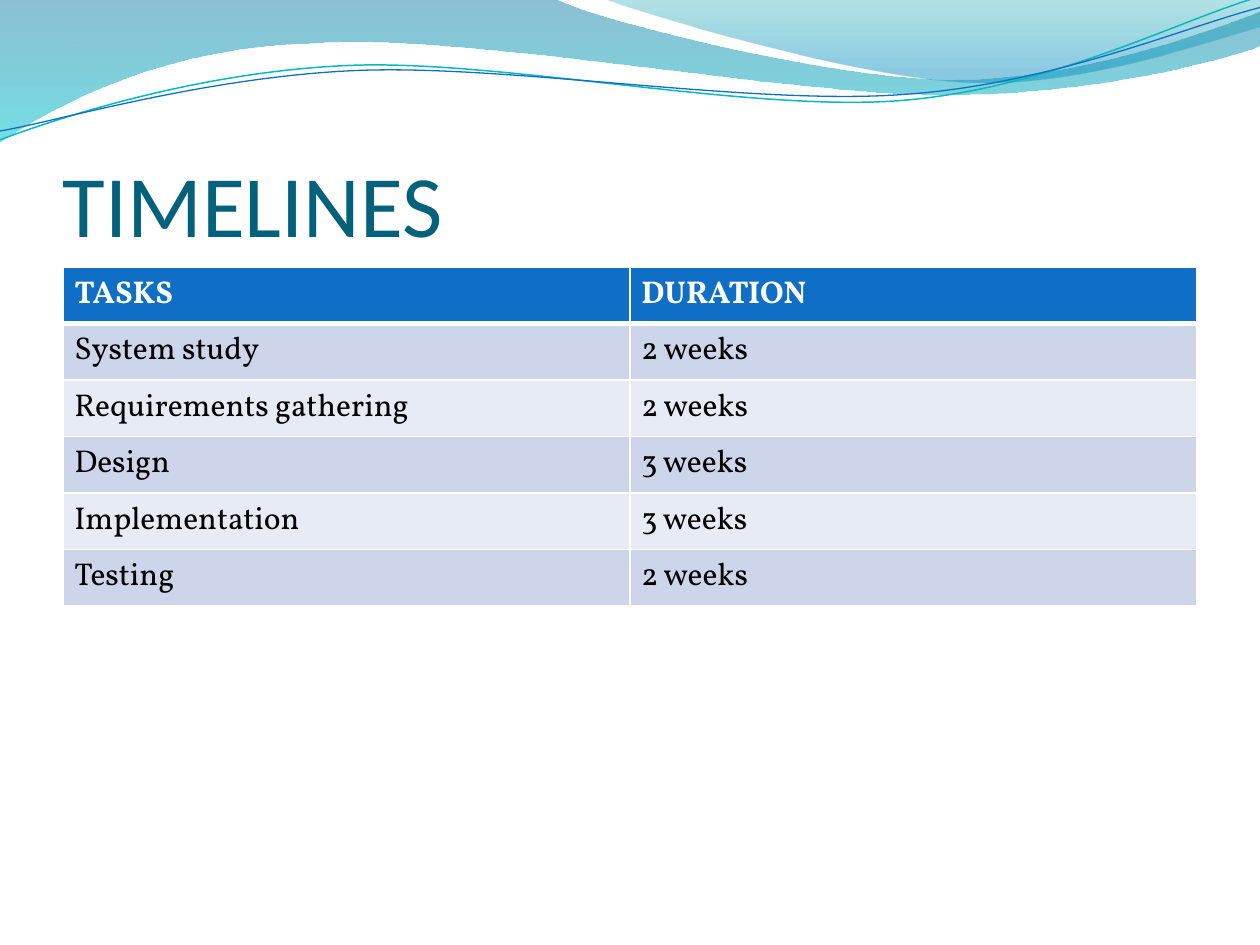
from lxml import etree
from pptx import Presentation
from pptx.dml.color import RGBColor
from pptx.enum import text
from pptx.oxml import ns
from pptx.util import Inches, Pt

WHITE = RGBColor(0xFF, 0xFF, 0xFF)
BLACK = RGBColor(0, 0, 0)
BLUE = RGBColor(0x0F, 0x6F, 0xC6)
TEAL = RGBColor(0x0A, 0xB8, 0xBF)
TITLE_BLUE = RGBColor(0x04, 0x61, 0x7B)
BANDS = [RGBColor(0xCC, 0xD5, 0xEA), RGBColor(0xE7, 0xEB, 0xF5)]
DEEP_BLUE = RGBColor(0x00, 0x74, 0xA1)
AQUA = RGBColor(0x00, 0xC6, 0xCF)
SEA_GREEN = RGBColor(0x00, 0xA1, 0xA9)
SKY_BLUE = RGBColor(0x00, 0x8B, 0xBF)

presentation = Presentation()
presentation.slide_width, presentation.slide_height = Inches(10), Inches(7.5)
slide = presentation.slides.add_slide(presentation.slide_layouts[6])


def add_wave(start, segments, closed):
    """Draw segments of one point (line) or three points (cubic curve)."""
    builder = slide.shapes.build_freeform(Inches(start[0]), Inches(start[1]))
    builder.add_line_segments([(Inches(x), Inches(y)) for segment in segments
                               for x, y in segment], close=closed)
    shape = builder.convert_to_shape()
    shape.shadow.inherit = False
    # Join each group of three line points into one curve
    lines = iter(list(shape.element.iter(ns.qn("a:lnTo"))))
    for segment in segments:
        group = [next(lines) for _ in segment]
        if len(group) == 3:
            curve = etree.Element(ns.qn("a:cubicBezTo"))
            group[0].addprevious(curve)
            for line in group:
                curve.append(line[0])
                line.getparent().remove(line)
    return shape


def set_font(paragraph, content, **values):
    run = paragraph.add_run()
    run.text = content
    run.font.color.rgb = values.pop("color")
    for name, value in values.items():
        setattr(run.font, name, value)


# Filled waves: start, segments, gradient stops (position, colour, opacity)
filled_waves = [
    ((0, 0),
     [[(4.4, -0.01)],
      [(4.76, 0.17), (6.64, 0.63), (7.58, 0.63)],
      [(8.53, 0.63), (9.58, 0.26), (10, 0.09)],
      [(10.01, 0.36)],
      [(9.83, 0.44), (8.7, 0.76), (7.46, 0.75)],
      [(6.22, 0.75), (3.82, 0.28), (2.57, 0.34)],
      [(1.29, 0.36), (0.46, 0.83), (-0.01, 1.13)],
      [(0, 0)]],
     [(0, DEEP_BLUE, 45), (1, AQUA, 55)]),
    ((4.79, -0.01),
     [[(5.09, 0.11), (6.82, 0.62), (7.69, 0.65)],
      [(8.56, 0.69), (9.61, 0.32), (10, 0.21)],
      [(10, 0)],
      [(4.79, -0.01)]],
     [(0, SEA_GREEN, 30), (0.8, SKY_BLUE, 45)]),
]
for start, segments, stops in filled_waves:
    wave = add_wave(start, segments, True)
    wave.line.fill.background()
    wave.fill.gradient()
    wave.fill.gradient_angle = 270
    for stop, (position, color, _) in zip(wave.fill.gradient_stops, stops):
        stop.position = position
        stop.color.rgb = color
    for element, (_, _, opacity) in zip(wave.element.iter(ns.qn("a:srgbClr")), stops):
        etree.SubElement(element, ns.qn("a:alpha"), val=str(opacity * 1000))

# Thin wave lines
wave_lines = [
    ((0, 1.11),
     [[(0.48, 0.93), (1.58, 0.57), (2.77, 0.52)],
      [(3.95, 0.47), (5.93, 0.89), (7.13, 0.8)],
      [(8.33, 0.71), (9.38, 0.15), (9.98, -0.02)]], TEAL, 0.85),
    ((0, 1.04),
     [[(0.47, 0.96), (1.64, 0.61), (2.83, 0.56)],
      [(4.03, 0.51), (5.97, 0.84), (7.17, 0.75)],
      [(8.36, 0.67), (9.41, 0.21), (10, 0.06)]], BLUE, 0.75),
]
for start, segments, color, width in wave_lines:
    wave = add_wave(start, segments, False)
    wave.fill.background()
    wave.line.color.rgb = color
    wave.line.width = Pt(width)

# Title
title = slide.shapes.add_textbox(Inches(0.5), Inches(0.77), Inches(9), Inches(1.25))
frame_format = {
    "word_wrap": True, "vertical_anchor": text.MSO_ANCHOR.BOTTOM,
    "margin_left": 0, "margin_right": 0, "margin_top": Inches(0.05), "margin_bottom": 0,
}
for name, value in frame_format.items():
    setattr(title.text_frame, name, value)
set_font(title.text_frame.paragraphs[0], "TIMELINES",
         name="Calibri", size=Pt(50), color=TITLE_BLUE)

# Timeline table
rows = [
    ("TASKS", "DURATION"),
    ("System study", "2 weeks"),
    ("Requirements gathering", "2 weeks"),
    ("Design", "3 weeks"),
    ("Implementation", "3 weeks"),
    ("Testing", "2 weeks"),
]
table = slide.shapes.add_table(len(rows), 2, Inches(0.5), Inches(2.12),
                               Inches(9), Inches(2.69)).table
for row_index, row in enumerate(rows):
    header = row_index == 0
    for column_index, content in enumerate(row):
        cell = table.cell(row_index, column_index)
        cell.margin_left = cell.margin_right = Inches(0.09)
        cell.margin_top = cell.margin_bottom = Inches(0.05)
        cell.fill.solid()
        cell.fill.fore_color.rgb = BLUE if header else BANDS[(row_index - 1) % 2]
        set_font(cell.text_frame.paragraphs[0], content, name="Vollkorn", size=Pt(18),
                 bold=header, color=WHITE if header else BLACK)
        # White borders, thicker below the header
        borders = {"L": 1, "R": 1, "T": 3 if row_index == 1 else 1, "B": 3 if header else 1}
        properties = cell._tc.get_or_add_tcPr()
        for order, (side, width) in enumerate(borders.items()):
            border = etree.Element(ns.qn(f"a:ln{side}"), w=str(Pt(width)))
            fill = etree.SubElement(border, ns.qn("a:solidFill"))
            etree.SubElement(fill, ns.qn("a:srgbClr"), val=str(WHITE))
            properties.insert(order, border)

presentation.save("out.pptx")
